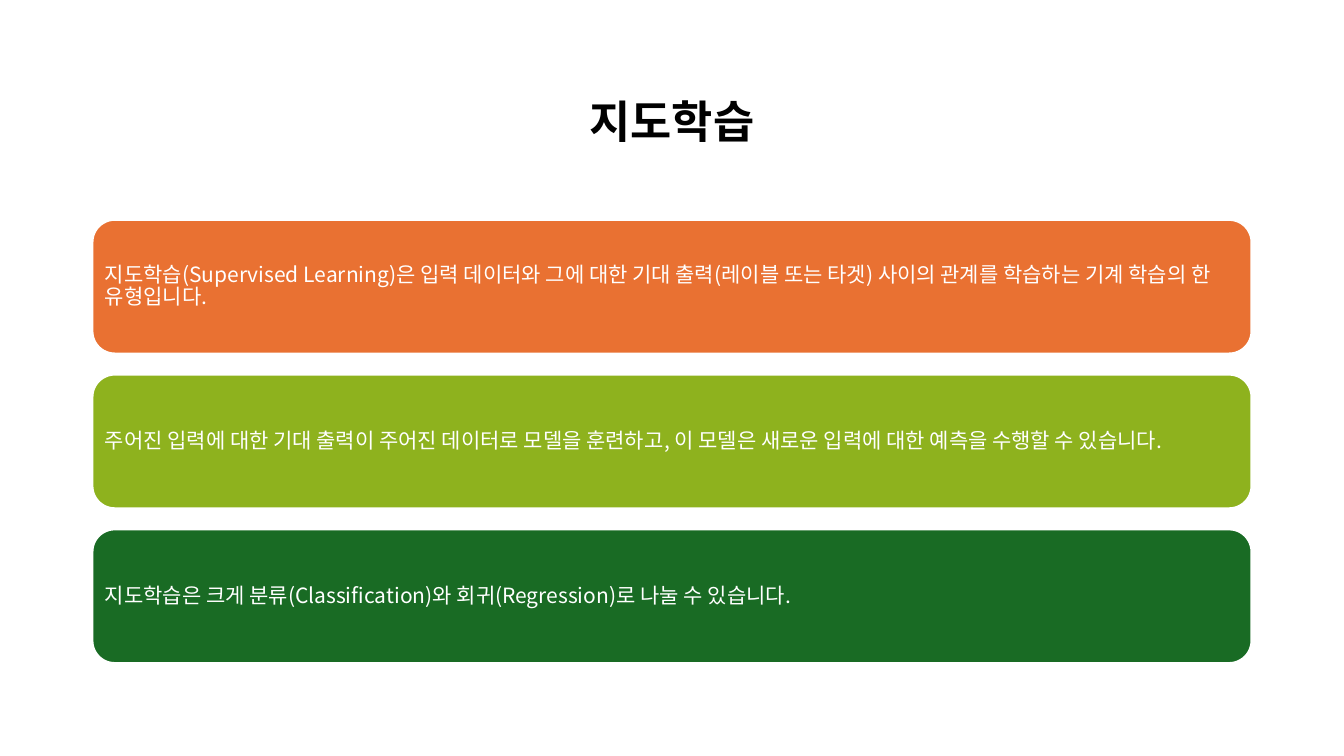
from lxml import etree
from pptx import Presentation
from pptx.dml.color import RGBColor
from pptx.enum.shapes import MSO_SHAPE
from pptx.enum.text import MSO_ANCHOR, PP_ALIGN
from pptx.oxml.ns import qn
from pptx.util import Cm, Pt

ROUNDED = MSO_SHAPE.ROUNDED_RECTANGLE
MIDDLE = MSO_ANCHOR.MIDDLE
LEFT, CENTER = PP_ALIGN.LEFT, PP_ALIGN.CENTER

FONT = "Noto Sans CJK KR"
BLACK = RGBColor(0x00, 0x00, 0x00)
WHITE = RGBColor(0xFF, 0xFF, 0xFF)
ORANGE = RGBColor(0xE9, 0x71, 0x32)
LIME = RGBColor(0x8E, 0xB2, 0x1E)
GREEN = RGBColor(0x19, 0x6B, 0x24)

TITLE = "지도학습"
CARDS = [
    (ORANGE, "지도학습(Supervised Learning)은 입력 데이터와 그에 대한 기대 출력"
             "(레이블 또는 타겟) 사이의 관계를 학습하는 기계 학습의 한 유형입니다."),
    (LIME, "주어진 입력에 대한 기대 출력이 주어진 데이터로 모델을 훈련하고, "
           "이 모델은 새로운 입력에 대한 예측을 수행할 수 있습니다."),
    (GREEN, "지도학습은 크게 분류(Classification)와 회귀(Regression)로 나눌 수 있습니다."),
]

MARGIN, CONTENT_WIDTH = 2.33, 29.21
TITLE_TOP, TITLE_HEIGHT = 1.55, 3.15
CARDS_TOP, CARD_HEIGHT, CARD_GAP = 5.54, 3.37, 0.53
CARD_INSET = 0.15


def write_text(box, text, size, color, align, bold=False):
    frame = box.text_frame
    frame.word_wrap = True
    frame.vertical_anchor = MIDDLE
    para = frame.paragraphs[0]
    para.alignment = align
    para.line_spacing = 0.9
    span = para.add_run()
    span.text = text
    span.font.size = Pt(size)
    span.font.bold = bold
    span.font.color.rgb = color
    span.font.name = FONT
    # Hangul takes its typeface from the East Asian font slot.
    etree.SubElement(span.font._element, qn("a:ea"), typeface=FONT)


def add_card(page, top, fill, text):
    card = page.shapes.add_shape(
        ROUNDED, Cm(MARGIN), Cm(top), Cm(CONTENT_WIDTH), Cm(CARD_HEIGHT))
    card.shadow.inherit = False
    card.fill.solid()
    card.fill.fore_color.rgb = fill
    card.line.color.rgb = WHITE
    card.line.width = Pt(1.5)
    frame = card.text_frame
    frame.margin_left = frame.margin_right = Cm(CARD_INSET)
    frame.margin_top = frame.margin_bottom = Cm(CARD_INSET)
    write_text(card, text, 15, WHITE, LEFT)


def main():
    deck = Presentation()
    deck.slide_width, deck.slide_height = Cm(33.87), Cm(19.05)
    page = deck.slides.add_slide(deck.slide_layouts[6])

    title = page.shapes.add_textbox(
        Cm(MARGIN), Cm(TITLE_TOP), Cm(CONTENT_WIDTH), Cm(TITLE_HEIGHT))
    write_text(title, TITLE, 32, BLACK, CENTER, bold=True)

    for row, (fill, text) in enumerate(CARDS):
        add_card(page, CARDS_TOP + row * (CARD_HEIGHT + CARD_GAP), fill, text)

    deck.save("out.pptx")


if __name__ == "__main__":
    main()
